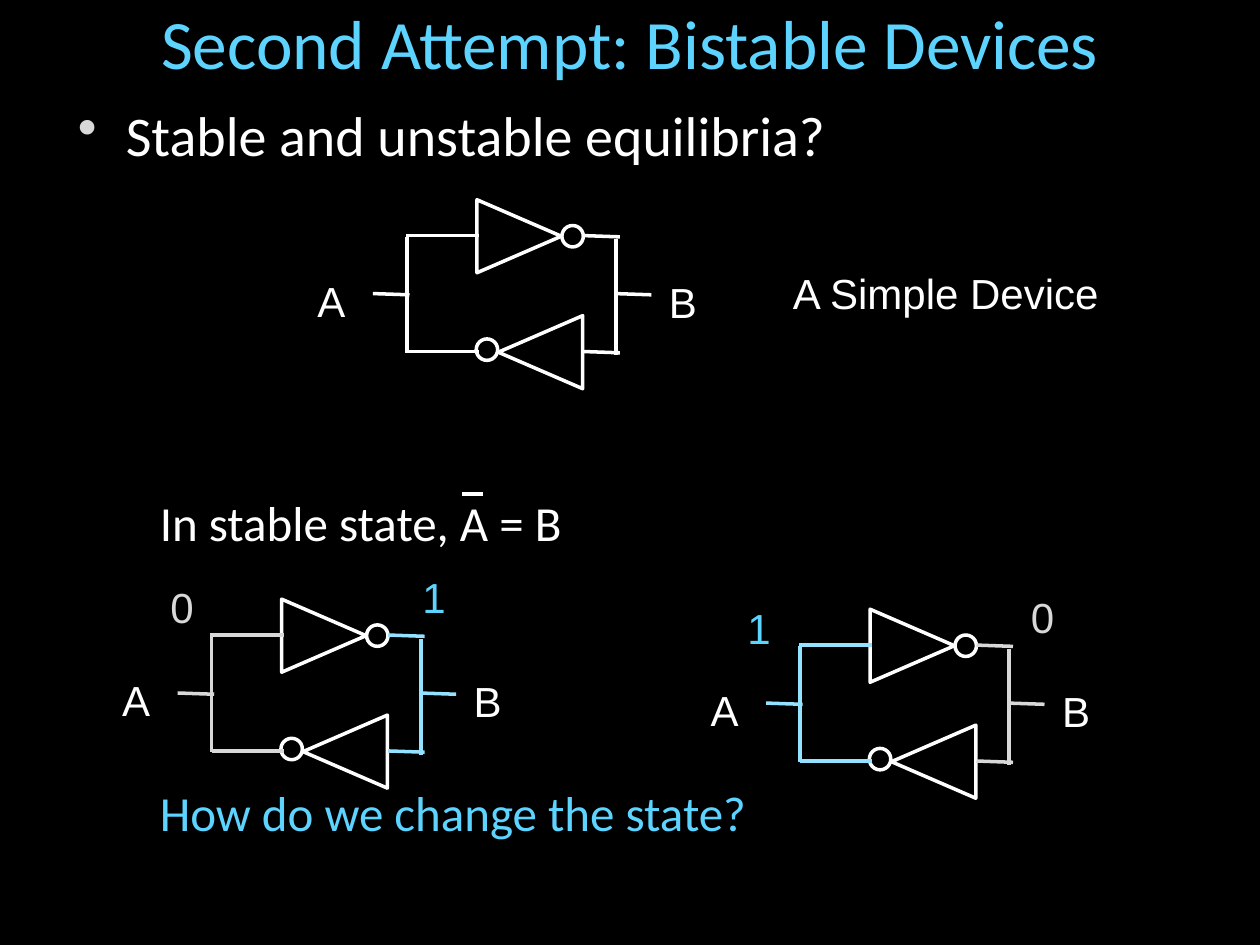
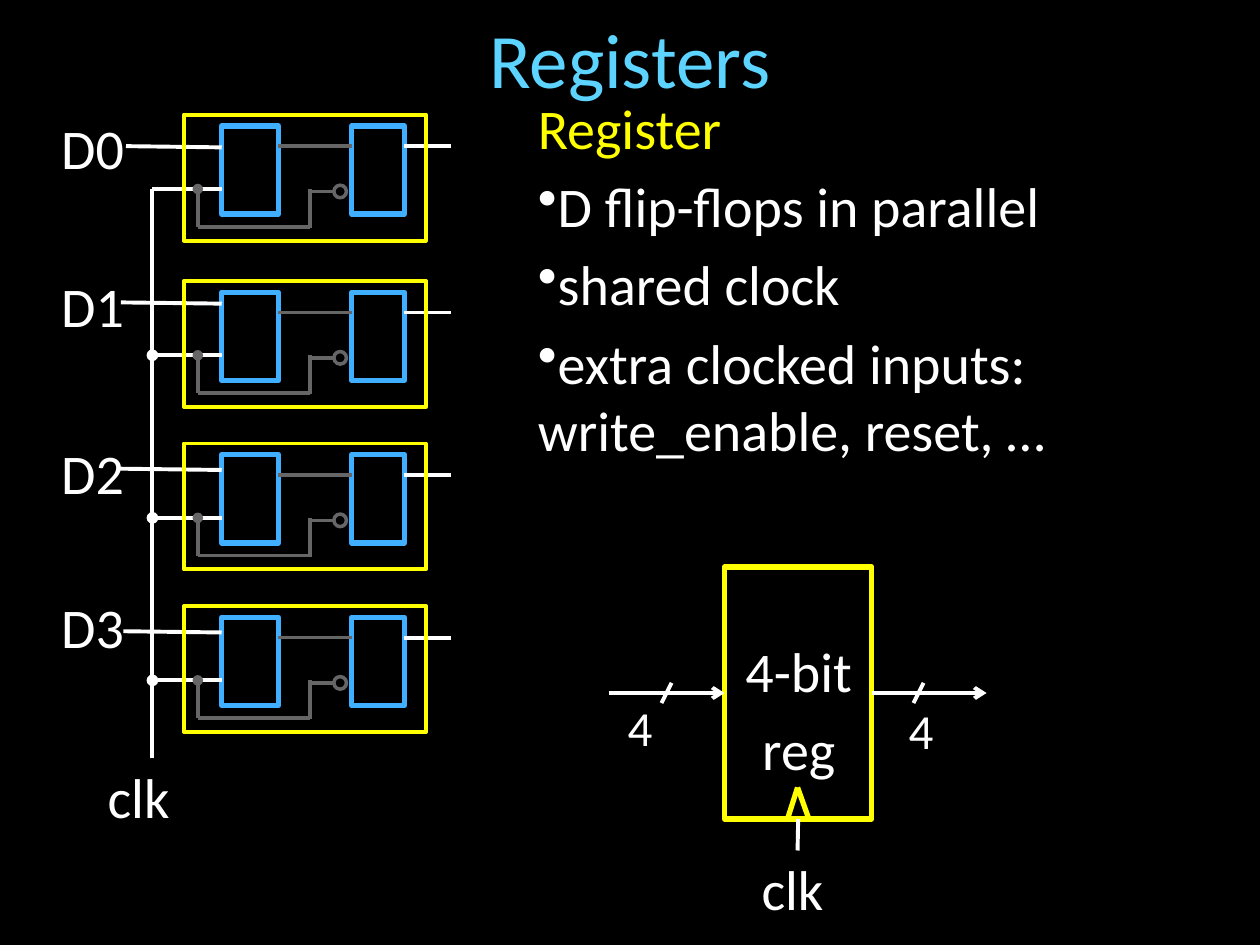
import dataclasses

import lxml.etree
import pptx
import pptx.dml.color
import pptx.enum.shapes
import pptx.enum.text
import pptx.oxml.ns
import pptx.util

Inches = pptx.util.Inches
Pt = pptx.util.Pt
RGBColor = pptx.dml.color.RGBColor
SHAPE = pptx.enum.shapes.MSO_SHAPE
ALIGN = pptx.enum.text.PP_ALIGN
ANCHOR = pptx.enum.text.MSO_ANCHOR

BLACK = RGBColor(0x00, 0x00, 0x00)
WHITE = RGBColor(0xFF, 0xFF, 0xFF)
CYAN = RGBColor(0x5D, 0xD4, 0xFF)
PALE_CYAN = RGBColor(0x93, 0xE2, 0xFF)
BLUE = RGBColor(0x40, 0xAF, 0xFF)
YELLOW = RGBColor(0xFF, 0xFF, 0x00)
LIGHT_GRAY = RGBColor(0xD8, 0xD8, 0xD8)
DARK_GRAY = RGBColor(0x66, 0x66, 0x66)


@dataclasses.dataclass(frozen=True)
class Bistable:
    """A pair of cross-coupled inverters, with the colour of each side."""
    left: float
    top: float
    a_color: RGBColor = WHITE
    b_color: RGBColor = WHITE


@dataclasses.dataclass(frozen=True)
class StateDigit:
    """The logic value beside one node of a bistable device."""
    digit: str
    left: float
    top: float
    color: RGBColor


@dataclasses.dataclass(frozen=True)
class RegisterBit:
    """One flip-flop of the register and its data input."""
    name: str
    top: float
    name_top: float
    input_left: float
    input_top: float


BISTABLES = [
    Bistable(2.42, 1.54),
    Bistable(0.87, 4.71, LIGHT_GRAY, PALE_CYAN),
    Bistable(5.54, 4.79, PALE_CYAN, LIGHT_GRAY),
]
STATE_DIGITS = [
    StateDigit("0", 1.25, 4.5, LIGHT_GRAY),
    StateDigit("1", 3.25, 4.42, CYAN),
    StateDigit("1", 5.83, 4.67, CYAN),
    StateDigit("0", 8.08, 4.58, LIGHT_GRAY),
]
REGISTER_BITS = [
    RegisterBit("D0", 0.91, 0.77, 1, 1.16),
    RegisterBit("D1", 2.23, 2.02, 0.96, 2.4),
    RegisterBit("D2", 3.52, 3.35, 0.95, 3.72),
    RegisterBit("D3", 4.81, 4.57, 0.98, 5.01),
]


def add_bullet(paragraph, color: RGBColor, indent: float) -> None:
    """Give a paragraph a round bullet with a hanging indent."""
    qn = pptx.oxml.ns.qn
    properties = paragraph._p.get_or_add_pPr()
    properties.set("marL", str(Inches(indent)))
    properties.set("indent", str(-Inches(indent)))
    fill = lxml.etree.SubElement(properties, qn("a:buClr"))
    lxml.etree.SubElement(fill, qn("a:srgbClr"), val=str(color))
    lxml.etree.SubElement(properties, qn("a:buChar"), char="•")


def add_text(slide, text: str, left: float, top: float, width: float, height: float, *,
             size: float = 32, font: str = "Calibri", color: RGBColor = WHITE,
             align=ALIGN.LEFT, anchor=ANCHOR.TOP, wrap: bool = True,
             spacing: float = 1.0, before: float = 0, bullet: RGBColor | None = None,
             indent: float = 0, lead: RGBColor | None = None) -> None:
    """Add a text box; lead colours a first paragraph that has no bullet."""
    box = slide.shapes.add_textbox(Inches(left), Inches(top), Inches(width), Inches(height))
    frame = box.text_frame
    frame.word_wrap = wrap
    frame.vertical_anchor = anchor
    for index, line in enumerate(text.split("\n")):
        paragraph = frame.add_paragraph() if index else frame.paragraphs[0]
        is_lead = lead is not None and index == 0
        paragraph.text = line
        paragraph.alignment = align
        paragraph.line_spacing = spacing
        paragraph.space_before = Pt(before if index else 0)
        if bullet is not None and not is_lead:
            add_bullet(paragraph, bullet, indent)
        for run in paragraph.runs:
            run.font.name = font
            run.font.size = Pt(size)
            run.font.color.rgb = lead if is_lead else color


def add_label(slide, text: str, left: float, top: float, width: float, height: float,
              **style) -> None:
    """Add a centred diagram label."""
    add_text(slide, text, left, top, width, height,
             align=ALIGN.CENTER, wrap=False, spacing=1.16, **style)


def add_outline(slide, kind, left: float, top: float, width: float, height: float,
                color: RGBColor, weight: float = 2, rotation: float = 0):
    """Add an unfilled shape."""
    outline = slide.shapes.add_shape(
        kind, Inches(left), Inches(top), Inches(width), Inches(height))
    outline.shadow.inherit = False
    outline.fill.background()
    outline.line.color.rgb = color
    outline.line.width = Pt(weight)
    outline.rotation = rotation
    return outline


def add_wire(slide, x1: float, y1: float, x2: float, y2: float,
             color: RGBColor = WHITE, weight: float = 2, tail: str | None = None):
    """Add a straight wire, with an optional arrowhead or dot at its end."""
    qn = pptx.oxml.ns.qn
    wire = slide.shapes.add_connector(
        pptx.enum.shapes.MSO_CONNECTOR.STRAIGHT,
        Inches(x1), Inches(y1), Inches(x2), Inches(y2))
    wire.line.color.rgb = color
    wire.line.width = Pt(weight)
    properties = wire._element.spPr
    if tail:
        lxml.etree.SubElement(properties.find(qn("a:ln")), qn("a:tailEnd"), type=tail)
    lxml.etree.SubElement(properties, qn("a:effectLst"))
    return wire


def add_slide(deck, title: str, left: float, top: float, width: float, height: float,
              size: float):
    """Add a black slide with a centred title."""
    slide = deck.slides.add_slide(deck.slide_layouts[6])
    slide.background.fill.solid()
    slide.background.fill.fore_color.rgb = BLACK
    add_text(slide, title, left, top, width, height, size=size, color=CYAN,
             align=ALIGN.CENTER, anchor=ANCHOR.MIDDLE)
    return slide


def draw_bistable(slide, device: Bistable) -> None:
    """Draw two inverters in a loop between nodes A and B."""
    x, y = device.left, device.top
    for inverter_x, inverter_y, rotation in ((1.41, 0, 90), (1.58, 0.92, 270)):
        add_outline(slide, SHAPE.ISOSCELES_TRIANGLE, x + inverter_x, y + inverter_y,
                    0.58, 0.67, WHITE, rotation=rotation)
    for bubble_x, bubble_y in ((2.04, 0.25), (1.36, 1.15)):
        add_outline(slide, SHAPE.OVAL, x + bubble_x, y + bubble_y, 0.17, 0.17, WHITE)
    a_wires = ((1.38, 0.33, 0.8, 0.33), (1.38, 1.25, 0.81, 1.25),
               (0.83, 0.8, 0.54, 0.79), (0.81, 0.34, 0.81, 1.26))
    b_wires = ((2.5, 0.34, 2.21, 0.33), (2.5, 1.26, 2.21, 1.25),
               (2.75, 0.8, 2.46, 0.79), (2.47, 0.36, 2.47, 1.28))
    for wires, color in ((a_wires, device.a_color), (b_wires, device.b_color)):
        for x1, y1, x2, y2 in wires:
            add_wire(slide, x + x1, y + y1, x + x2, y + y2, color)
    for node, node_x, node_y in (("A", 0, 0.53), ("B", 2.79, 0.54)):
        add_label(slide, node, x + node_x, y + node_y, 0.42, 0.56, size=24, font="Arial")


def draw_register_bit(slide, bit: RegisterBit, clock_tail: str | None) -> None:
    """Draw a flip-flop made of two latches, with its data and clock inputs."""
    y = bit.top
    data_y, clock_y, loop_y = y + 0.25, y + 0.59, y + 0.89
    add_label(slide, bit.name, 0.38, bit.name_top, 0.71, 0.73)
    for latch_left, latch_width in ((1.76, 0.45), (2.79, 0.42)):
        add_outline(slide, SHAPE.RECTANGLE, latch_left, y + 0.09, latch_width, 0.7, BLUE, 3)
    add_wire(slide, 1.76, bit.input_top + 0.01, bit.input_left, bit.input_top, weight=2.25)
    add_wire(slide, 1.76, clock_y, 1.21, clock_y, weight=2.25, tail=clock_tail)
    add_wire(slide, 3.58, data_y, 3.21, data_y, weight=2.25)
    add_wire(slide, 2.79, data_y, 2.21, data_y, DARK_GRAY)
    add_wire(slide, 2.65, y + 0.61, 2.46, y + 0.61, DARK_GRAY)
    add_wire(slide, 1.57, loop_y, 1.57, clock_y, DARK_GRAY, tail="oval")
    add_wire(slide, 2.46, loop_y + 0.01, 2.46, clock_y, DARK_GRAY)
    add_wire(slide, 2.46, loop_y, 1.57, loop_y, DARK_GRAY)
    add_outline(slide, SHAPE.OVAL, 2.65, y + 0.56, 0.1, 0.1, DARK_GRAY)
    add_outline(slide, SHAPE.RECTANGLE, 1.46, y, 1.92, 1, YELLOW, 2.25)


def draw_register_symbol(slide) -> None:
    """Draw the 4-bit register with its buses and clock."""
    register = add_outline(slide, SHAPE.RECTANGLE, 5.75, 4.5, 1.17, 2, YELLOW, 3)
    input_bus = add_wire(slide, 4.83, 5.5, 5.75, 5.5, weight=2.25, tail="arrow")
    input_bus.end_connect(register, 1)
    output_bus = add_wire(slide, 6.92, 5.5, 7.83, 5.5, weight=2.25, tail="arrow")
    output_bus.begin_connect(register, 3)
    for slash_left, width_left, width_top in ((5.25, 4.88, 5.41), (7.25, 7.11, 5.44)):
        add_wire(slide, slash_left + 0.08, 5.42, slash_left, 5.58, weight=2.25)
        add_label(slide, "4", width_left, width_top, 0.4, 0.63, size=28)
    for edge_left in (6.25, 6.42):
        add_wire(slide, edge_left, 6.5, 6.33, 6.25, YELLOW, 3)
    clock = add_wire(slide, 6.33, 6.5, 6.33, 6.75, weight=2.25)
    clock.begin_connect(register, 2)
    add_label(slide, "4-bit\nreg", 5.81, 4.92, 1.06, 1.35)
    add_label(slide, "clk", 5.94, 6.65, 0.7, 0.69)


def build_bistable_slide(deck) -> None:
    """Build the slide on bistable devices."""
    slide = add_slide(deck, "Second Attempt: Bistable Devices", 0.75, 0, 8.5, 0.67, 39.6)
    add_text(slide, "Stable and unstable equilibria?", 0.52, 0.75, 9.06, 0.75,
             bullet=LIGHT_GRAY, indent=0.38)
    add_text(slide, "In stable state, A = B", 1.17, 3.94, 8.5, 0.5, size=28, spacing=0.82)
    add_text(slide, "How do we change the state?", 1.17, 6.24, 8.5, 0.5,
             size=28, spacing=0.82, color=CYAN)
    add_wire(slide, 3.67, 3.92, 3.83, 3.92)
    for device in BISTABLES:
        draw_bistable(slide, device)
    for state in STATE_DIGITS:
        add_label(slide, state.digit, state.left, state.top, 0.39, 0.55,
                  size=24, font="Arial", color=state.color)
    add_label(slide, "A Simple Device", 6.18, 2.01, 2.65, 0.56, size=24, font="Arial")


def build_register_slide(deck) -> None:
    """Build the slide on registers."""
    slide = add_slide(deck, "Registers", 0.25, 0.17, 9.5, 0.58, 44)
    add_text(slide, "Register\nD flip-flops in parallel\nshared clock\n"
             "extra clocked inputs:\vwrite_enable, reset, …", 4.17, 0.69, 5.58, 3.67,
             before=6.4, bullet=WHITE, lead=YELLOW)
    for index, bit in enumerate(REGISTER_BITS):
        draw_register_bit(slide, bit, "oval" if index else None)
    add_wire(slide, 1.21, 6.02, 1.21, 1.5, weight=2.25)
    add_label(slide, "clk", 0.75, 5.92, 0.7, 0.69)
    draw_register_symbol(slide)


def main() -> None:
    """Build and save the deck."""
    deck = pptx.Presentation()
    deck.slide_width = Inches(10)
    deck.slide_height = Inches(7.5)
    build_bistable_slide(deck)
    build_register_slide(deck)
    deck.save("out.pptx")


if __name__ == "__main__":
    main()
